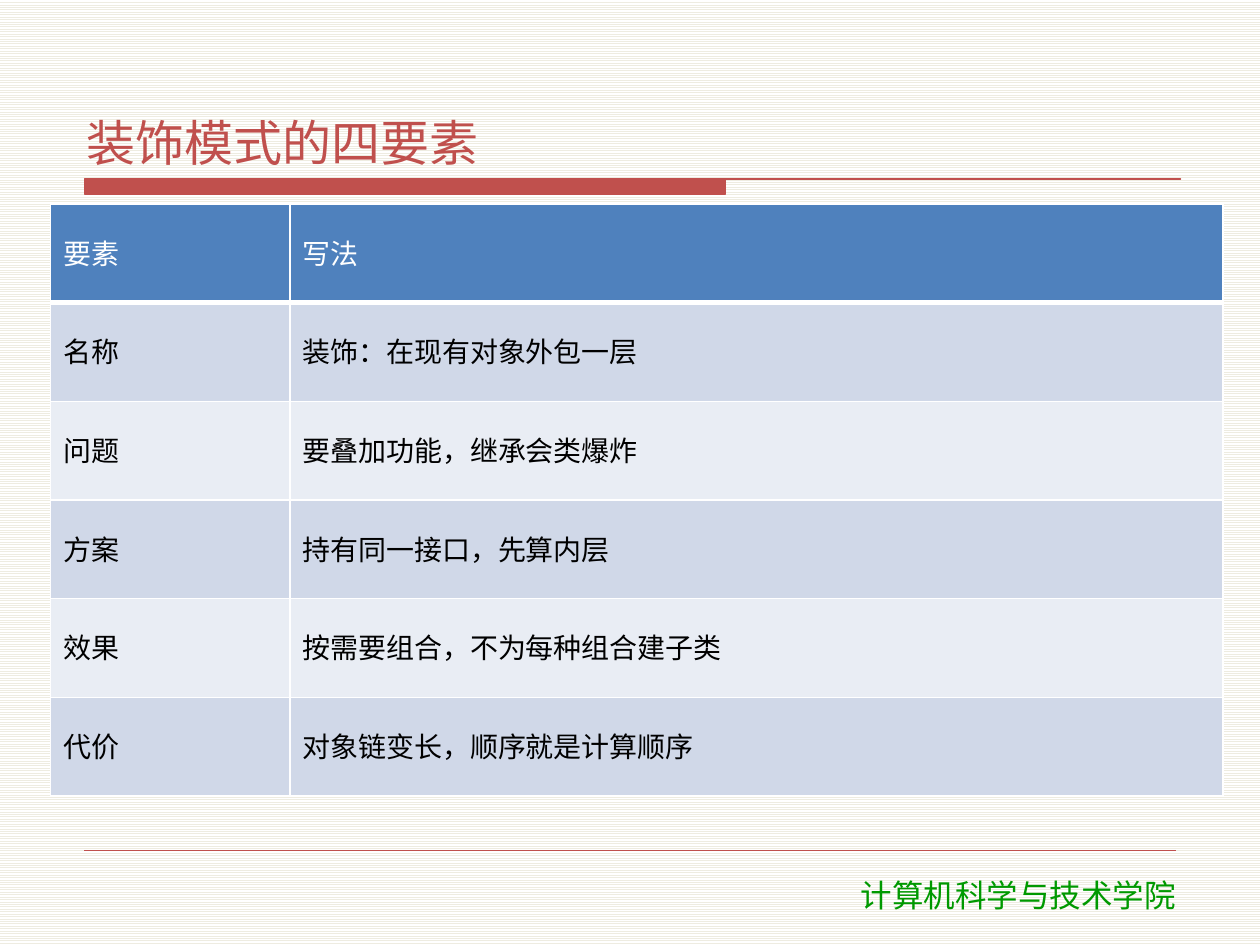
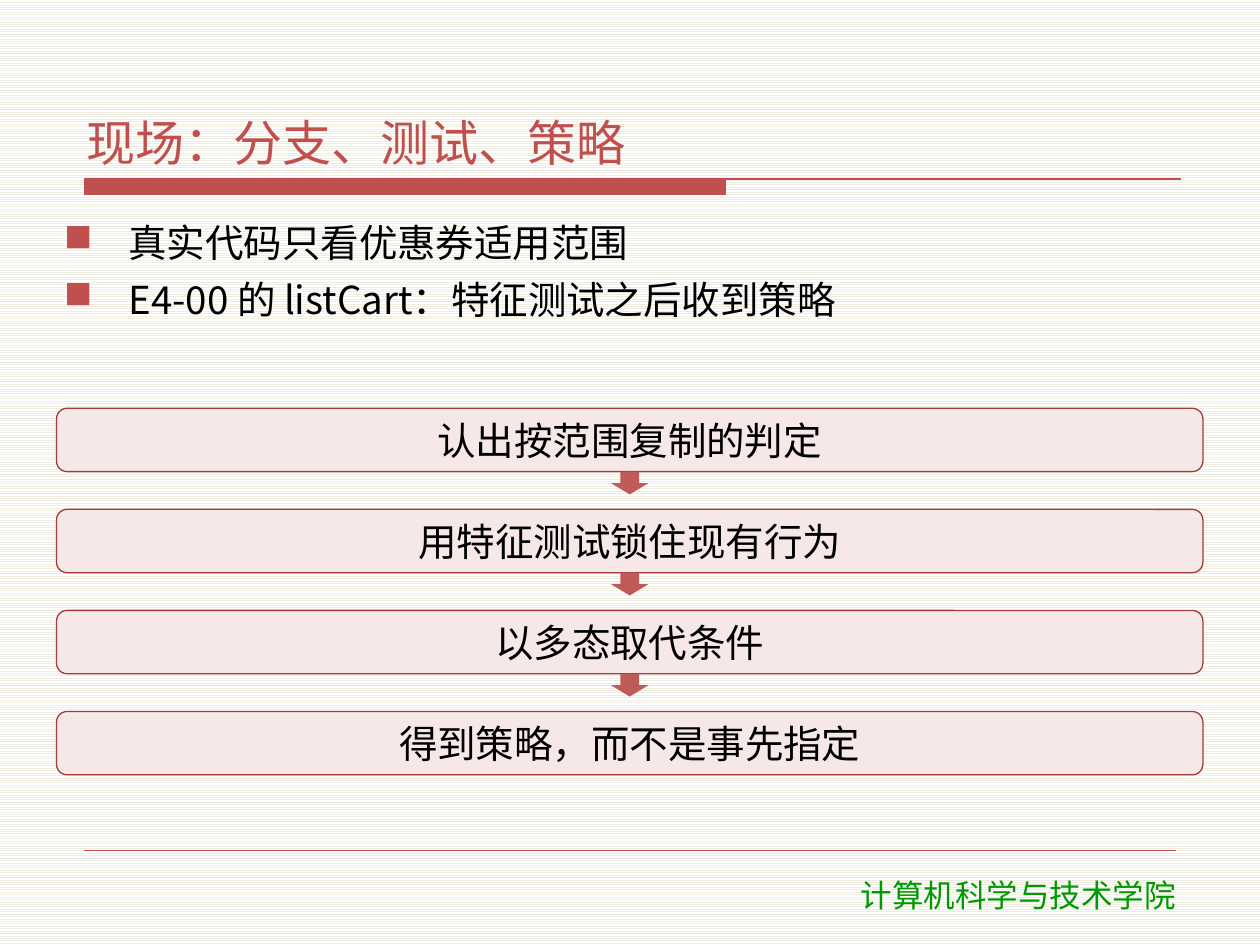
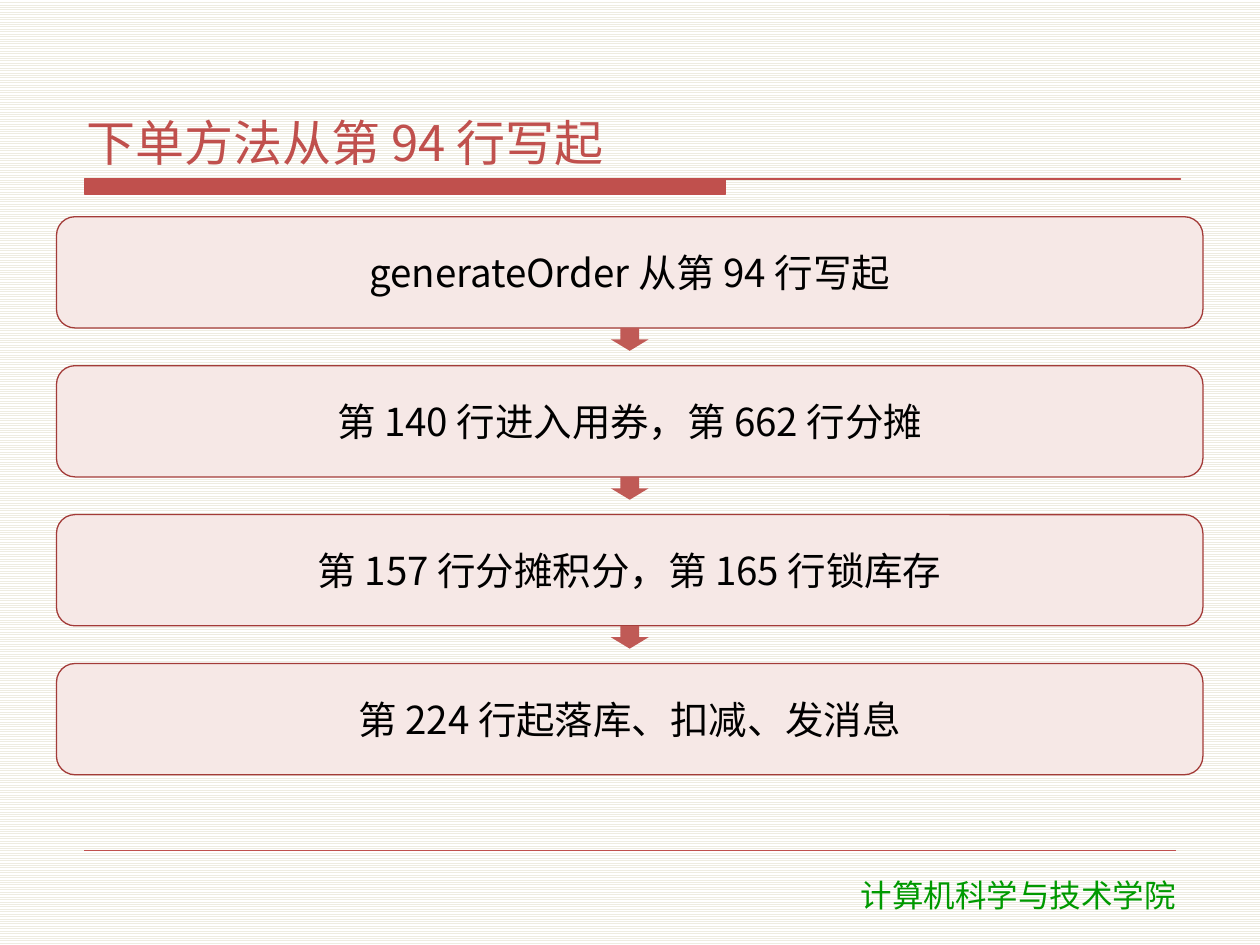
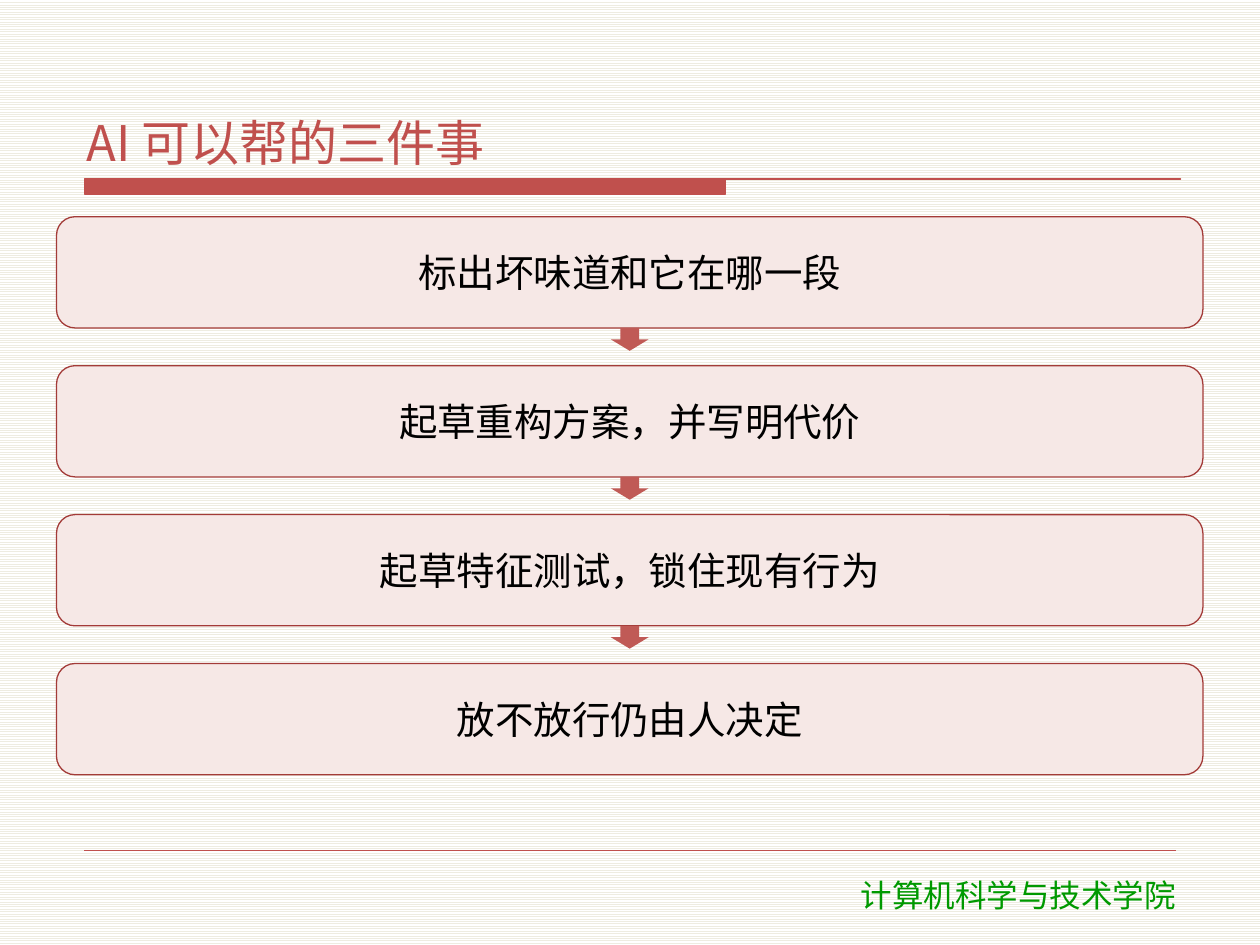
from lxml.etree import SubElement
from pptx import Presentation
from pptx.dml.color import RGBColor
from pptx.enum.dml import MSO_PATTERN
from pptx.enum.shapes import MSO_CONNECTOR, MSO_SHAPE
from pptx.enum.text import MSO_ANCHOR as Anchor, MSO_AUTO_SIZE, PP_ALIGN as Align
from pptx.oxml.ns import qn
from pptx.util import Cm, Pt

RED = RGBColor(0xC0, 0x50, 0x4D)
STEP_FILL = RGBColor(0xF6, 0xE8, 0xE6)
STEP_EDGE = RGBColor(0xA3, 0x3B, 0x38)
ARROW_RED = RGBColor(0xC0, 0x5A, 0x56)
GREEN = RGBColor(0x00, 0x99, 0x00)
BLACK = RGBColor(0x00, 0x00, 0x00)
WHITE = RGBColor(0xFF, 0xFF, 0xFF)
IVORY = RGBColor(0xEE, 0xEC, 0xE1)
HEADER_BLUE = RGBColor(0x4F, 0x81, 0xBD)
BAND_DARK = RGBColor(0xD0, 0xD8, 0xE8)
BAND_LIGHT = RGBColor(0xE9, 0xED, 0xF4)

BODY_FONT = "Noto Sans CJK SC"
FOOTER_FONT = "DejaVu Sans"
BODY_LEFT, BODY_TOP, BODY_WIDTH, BODY_BOTTOM = 1.14, 4.37, 23.11, 15.62
STEP_GAP, ARROW_WIDTH, ARROW_HEIGHT = 0.76, 0.76, 0.46
TIGHT = {
    "margin_left": Cm(0.15),
    "margin_right": Cm(0.15),
    "margin_top": Cm(0.05),
    "margin_bottom": Cm(0.05),
}


def apply(target, values):
    for attribute, value in values.items():
        setattr(target, attribute, value)


class Deck:
    def __init__(self):
        self.prs = Presentation()
        apply(self.prs, {"slide_width": Cm(25.4), "slide_height": Cm(19.05)})
        paper = self.prs.slide_master.background.fill
        paper.patterned()
        paper.pattern = MSO_PATTERN.LIGHT_HORIZONTAL
        paper.fore_color.rgb = IVORY
        paper.back_color.rgb = WHITE
        self.slide = None

    def new_slide(self, title):
        self.slide = self.prs.slides.add_slide(self.prs.slide_layouts[6])
        self.title_band()
        self.footer()
        self.text_box((1.6, 0.84, 22.23, 2.67), [title], 28, RED,
                      frame={**TIGHT, "vertical_anchor": Anchor.BOTTOM},
                      spacing={"space_after": Pt(2)})

    def title_band(self):
        left, top, bar_right, bar_bottom, rule_right = map(
            Cm, (1.7, 3.61, 14.63, 3.91, 23.8))
        outline = self.slide.shapes.build_freeform(left, top)
        outline.add_line_segments([
            (rule_right, top), (bar_right, top),
            (bar_right, bar_bottom), (left, bar_bottom)])
        self.paint(outline.convert_to_shape(), RED, RED)

    def footer(self):
        rule = self.slide.shapes.add_connector(
            MSO_CONNECTOR.STRAIGHT, Cm(1.7), Cm(17.15), Cm(23.7), Cm(17.15))
        rule.line.color.rgb = RED
        rule.line.width = Pt(0.25)
        SubElement(rule._element.spPr, qn("a:effectLst"))
        self.text_box((15.42, 17.53, 10.21, 1.02), ["计算机科学与技术学院"],
                      18, GREEN, FOOTER_FONT,
                      frame={"auto_size": MSO_AUTO_SIZE.SHAPE_TO_FIT_TEXT},
                      spacing={"alignment": Align.CENTER})

    def paint(self, shape, fill, edge=None):
        shape.shadow.inherit = False
        shape.fill.solid()
        shape.fill.fore_color.rgb = fill
        if edge is None:
            shape.line.fill.background()
        else:
            shape.line.color.rgb = edge
            shape.line.width = Pt(0.75)

    def add_text(self, paragraph, text, size, color, font=BODY_FONT, spacing=None):
        apply(paragraph, spacing or {})
        run = paragraph.add_run()
        run.text = text
        apply(run.font, {"size": Pt(size), "name": font})
        run.font.color.rgb = color
        SubElement(run._r.get_or_add_rPr(), qn("a:ea"), typeface=font)

    def text_box(self, area, lines, size, color, font=BODY_FONT, frame=None,
                 spacing=None):
        text_frame = self.slide.shapes.add_textbox(*map(Cm, area)).text_frame
        apply(text_frame, {"word_wrap": True, **(frame or {})})
        for index, line in enumerate(lines):
            paragraph = text_frame.add_paragraph() if index else text_frame.paragraphs[0]
            self.add_text(paragraph, line, size, color, font, spacing)
        return text_frame

    def bullets(self, lines):
        text_frame = self.text_box((BODY_LEFT, BODY_TOP, BODY_WIDTH, 3.66), lines,
                                   22, BLACK, frame=TIGHT,
                                   spacing={"space_after": Pt(2)})
        for index, paragraph in enumerate(text_frame.paragraphs):
            if index:
                paragraph.space_before = Pt(4)
            props = paragraph._p.get_or_add_pPr()
            props.set("marL", str(Cm(1.3)))
            props.set("indent", str(Cm(-1.3)))
            bullet_color = SubElement(props, qn("a:buClr"))
            SubElement(bullet_color, qn("a:srgbClr"), val=str(RED))
            SubElement(props, qn("a:buChar"), char="■")

    def steps(self, labels, top=BODY_TOP):
        height = (BODY_BOTTOM - top + STEP_GAP) / len(labels) - STEP_GAP
        for index, label in enumerate(labels):
            step_top = top + index * (height + STEP_GAP)
            if index:
                arrow = self.slide.shapes.add_shape(
                    MSO_SHAPE.DOWN_ARROW,
                    Cm(BODY_LEFT + (BODY_WIDTH - ARROW_WIDTH) / 2),
                    Cm(step_top - STEP_GAP), Cm(ARROW_WIDTH), Cm(ARROW_HEIGHT))
                self.paint(arrow, ARROW_RED)
            step = self.slide.shapes.add_shape(
                MSO_SHAPE.ROUNDED_RECTANGLE, Cm(BODY_LEFT), Cm(step_top),
                Cm(BODY_WIDTH), Cm(height))
            self.paint(step, STEP_FILL, STEP_EDGE)
            apply(step.text_frame, {**TIGHT, "word_wrap": True,
                                    "vertical_anchor": Anchor.MIDDLE})
            self.add_text(step.text_frame.paragraphs[0], label, 22, BLACK,
                          spacing={"alignment": Align.CENTER, "space_after": Pt(2)})

    def table(self, rows, widths, row_height):
        table = self.slide.shapes.add_table(
            len(rows), len(widths), Cm(1.02), Cm(4.11),
            Cm(sum(widths)), Cm(row_height * len(rows))).table
        for column, width in zip(table.columns, widths):
            column.width = Cm(width)
        for row_index, texts in enumerate(rows):
            table.rows[row_index].height = Cm(row_height)
            header = row_index == 0
            band = BAND_DARK if row_index % 2 else BAND_LIGHT
            for column_index, text in enumerate(texts):
                cell = table.cell(row_index, column_index)
                cell.vertical_anchor = Anchor.MIDDLE
                self.add_text(cell.text_frame.paragraphs[0], text, 16,
                              WHITE if header else BLACK,
                              spacing={"line_spacing": 0.9, "space_after": Pt(2)})
                self.borders(cell, 3 if header else 1)
                cell.fill.solid()
                cell.fill.fore_color.rgb = HEADER_BLUE if header else band

    def borders(self, cell, bottom_width):
        props = cell._tc.get_or_add_tcPr()
        for side, width in {"L": 1, "R": 1, "T": 1, "B": bottom_width}.items():
            edge = SubElement(props, qn(f"a:ln{side}"), w=str(Pt(width)))
            SubElement(SubElement(edge, qn("a:solidFill")), qn("a:srgbClr"),
                       val=str(WHITE))


def main():
    deck = Deck()

    deck.new_slide("装饰模式的四要素")
    deck.table([
        ("要素", "写法"),
        ("名称", "装饰：在现有对象外包一层"),
        ("问题", "要叠加功能，继承会类爆炸"),
        ("方案", "持有同一接口，先算内层"),
        ("效果", "按需要组合，不为每种组合建子类"),
        ("代价", "对象链变长，顺序就是计算顺序"),
    ], widths=(4.83, 18.8), row_height=1.99)

    deck.new_slide("现场：分支、测试、策略")
    deck.bullets([
        "真实代码只看优惠券适用范围",
        "E4-00 的 listCart：特征测试之后收到策略",
    ])
    deck.steps([
        "认出按范围复制的判定",
        "用特征测试锁住现有行为",
        "以多态取代条件",
        "得到策略，而不是事先指定",
    ], top=8.23)

    deck.new_slide("下单方法从第 94 行写起")
    deck.steps([
        "generateOrder 从第 94 行写起",
        "第 140 行进入用券，第 662 行分摊",
        "第 157 行分摊积分，第 165 行锁库存",
        "第 224 行起落库、扣减、发消息",
    ])

    deck.new_slide("AI 可以帮的三件事")
    deck.steps([
        "标出坏味道和它在哪一段",
        "起草重构方案，并写明代价",
        "起草特征测试，锁住现有行为",
        "放不放行仍由人决定",
    ])

    deck.prs.save("out.pptx")


if __name__ == "__main__":
    main()
